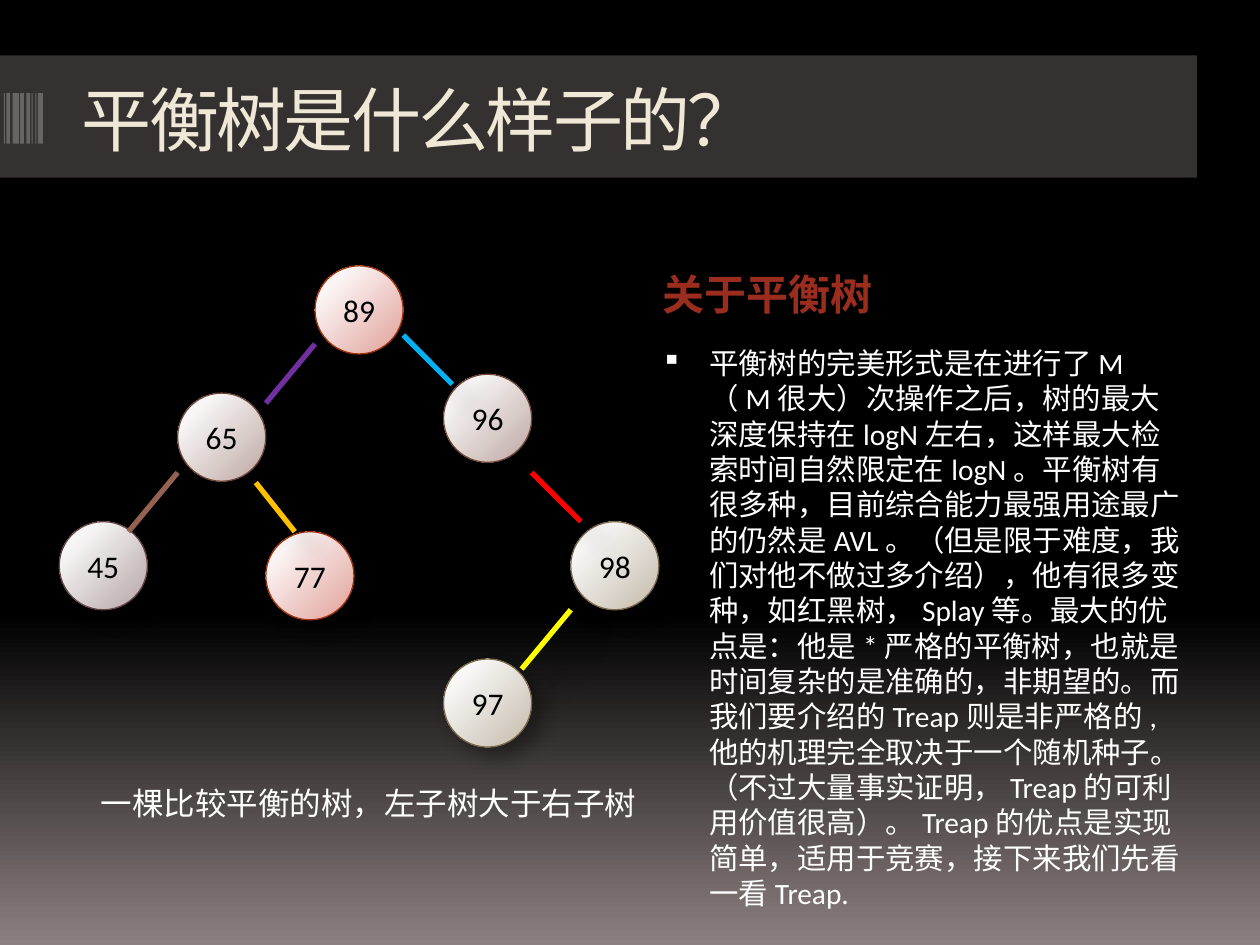
from typing import NamedTuple

from lxml.etree import SubElement
from pptx import Presentation
from pptx.dml.color import RGBColor
from pptx.enum.shapes import MSO_CONNECTOR, MSO_SHAPE
from pptx.enum.text import MSO_ANCHOR, MSO_AUTO_SIZE, PP_ALIGN
from pptx.oxml.ns import qn
from pptx.util import Inches, Pt

COLS, ROWS = 100, 75  # grid of square cells over the slide
CELL = Inches(10) // COLS
SIZE = 7  # node diameter in cells
FONT = "Calibri"
HEX = {
    "black": "000000", "white": "FFFFFF", "floor": "8C8080",
    "band": "6B6262", "bar": "696464", "title": "EFE8D6", "head": "9B2D1F",
    "violet": "7030A0", "brown": "956251", "blue": "00B0F0",
    "red": "FF0000", "yellow": "FFFF00", "gold": "FFC000",
}
# Node tones: light centre, dark edge, outline
TONES = {
    "rose": ("FBF5F5", "E19F98", "A0310A"),
    "clay": ("F8F6F6", "BDA7A2", "6F4638"),
    "mauve": ("F7F6F6", "B5A5A5", "624242"),
    "sand": ("F8F7F6", "C4BAAA", "78684B"),
}


class Node(NamedTuple):
    key: int
    col: float
    row: float
    tone: str


class Edge(NamedTuple):
    start: tuple[float, float]
    end: tuple[float, float]
    hue: str


class Shade(NamedTuple):
    alpha: int
    blur: float
    dist: float


NODES = [
    Node(89, 25, 21.1, "rose"), Node(65, 14.1, 31.2, "clay"),
    Node(96, 35.2, 29.7, "clay"), Node(45, 4.7, 41.4, "mauve"),
    Node(77, 21.1, 42.2, "rose"), Node(98, 45.3, 41.4, "sand"),
    Node(97, 35.2, 52.3, "sand"),
]
EDGES = [
    Edge((25, 27.3), (21.1, 32), "violet"),
    Edge((14.1, 37.5), (10.2, 42.2), "brown"),
    Edge((32, 26.6), (35.9, 30.5), "blue"),
    Edge((42.2, 37.5), (46.1, 41.4), "red"),
    Edge((45.3, 48.4), (41.4, 53.1), "yellow"),
    Edge((20.3, 38.3), (23.4, 42.2), "gold"),
]
BARS = [(0.3, 0.1), (0.5, 0.3), (1, 0.5), (1.6, 0.3), (2.1, 0.3),
        (2.5, 0.1), (2.8, 0.1), (3, 0.4)]  # column, width
BODY = (
    "平衡树的完美形式是在进行了M（M很大）次操作之后，树的最大深度保持在logN左右，"
    "这样最大检索时间自然限定在logN。平衡树有很多种，目前综合能力最强用途最广的仍然是AVL。"
    "（但是限于难度，我们对他不做过多介绍），他有很多变种，如红黑树，Splay等。"
    "最大的优点是：他是*严格的平衡树，也就是时间复杂的是准确的，非期望的。"
    "而我们要介绍的Treap则是非严格的,他的机理完全取决于一个随机种子。"
    "（不过大量事实证明，Treap的可利用价值很高）。Treap的优点是实现简单，适用于竞赛，"
    "接下来我们先看一看Treap."
)


def grid(*cells: float) -> list[int]:
    return [round(cell * CELL) for cell in cells]


def tint(hue: str) -> RGBColor:
    return RGBColor.from_string(hue)


def blend(root, stops: list[tuple[int, str]]):
    """Refill the gradient found under root with these stops."""
    grad = root.find(".//" + qn("a:gradFill"))
    for child in list(grad):
        grad.remove(child)
    chain = SubElement(grad, qn("a:gsLst"))
    for pos, hue in stops:
        stop = SubElement(chain, qn("a:gs"), pos=str(pos * 1000))
        SubElement(stop, qn("a:srgbClr"), val=hue)
    return grad


def cast(shape, shade: Shade) -> None:
    props = shape.element.spPr
    for old in props.findall(qn("a:effectLst")):
        props.remove(old)
    outer = SubElement(
        SubElement(props, qn("a:effectLst")), qn("a:outerShdw"),
        blurRad=str(Pt(shade.blur)), dist=str(Pt(shade.dist)),
        dir=str(45 * 60000), algn="tl", rotWithShape="0")
    hue = SubElement(outer, qn("a:srgbClr"), val=HEX["black"])
    SubElement(hue, qn("a:alpha"), val=str(shade.alpha * 1000))


def style(para, size: float, hue: str, bold: bool = False) -> None:
    font = para.font
    font.name, font.size, font.bold = FONT, Pt(size), bold
    font.color.rgb = tint(HEX[hue])


def block(slide, box: tuple, hue: str):
    shape = slide.shapes.add_shape(MSO_SHAPE.RECTANGLE, *grid(*box))
    shape.shadow.inherit = False
    shape.fill.solid()
    shape.fill.fore_color.rgb = tint(HEX[hue])
    shape.line.fill.background()
    return shape


def label(slide, box: tuple, text: str, wrap: bool = True):
    frame = slide.shapes.add_textbox(*grid(*box)).text_frame
    frame.word_wrap = wrap
    frame.text = text
    return frame, frame.paragraphs[0]


def ball(slide, node: Node) -> None:
    light, dark, rim = TONES[node.tone]
    shape = slide.shapes.add_shape(
        MSO_SHAPE.OVAL, *grid(node.col, node.row, SIZE, SIZE))
    shape.fill.gradient()
    grad = blend(shape.element.spPr, [(20, light), (100, dark)])
    ring = SubElement(grad, qn("a:path"), path="circle")
    SubElement(ring, qn("a:fillToRect"),
               l="-15000", t="-15000", r="115000", b="115000")
    shape.line.color.rgb = tint(rim)
    shape.line.width = Pt(0.75)
    cast(shape, Shade(35, 10.2, 8))
    frame = shape.text_frame
    frame.text = str(node.key)
    frame.vertical_anchor = MSO_ANCHOR.MIDDLE
    para = frame.paragraphs[0]
    para.alignment = PP_ALIGN.CENTER
    style(para, 18, "black")


def link(slide, edge: Edge) -> None:
    line = slide.shapes.add_connector(
        MSO_CONNECTOR.STRAIGHT, *grid(*edge.start, *edge.end))
    line.line.color.rgb = tint(HEX[edge.hue])
    line.line.width = Pt(3)
    cast(line, Shade(26, 15, 18))


def main() -> None:
    deck = Presentation()
    deck.slide_width, deck.slide_height = grid(COLS, ROWS)
    slide = deck.slides.add_slide(deck.slide_layouts[5])

    # Background
    slide.background.fill.gradient()
    grad = blend(slide.element, [(0, HEX["black"]), (65, HEX["black"]),
                                 (100, HEX["floor"])])
    SubElement(grad, qn("a:lin"), ang=str(90 * 60000), scaled="0")

    # Title band with bar code
    band = block(slide, (0, 4.4, 95, 9.7), "band")
    hue = band.element.spPr.find(".//" + qn("a:srgbClr"))
    SubElement(hue, qn("a:alpha"), val="50000")
    for col, width in BARS:
        block(slide, (col, 7.4, width, 4), "bar")

    # Title, raised above the band
    title = slide.shapes.title
    slide.shapes.element.append(title.element)
    title.left, title.top, title.width, title.height = grid(5.5, 5.6, 85, 10)
    frame = title.text_frame
    frame.text = "平衡树是什么样子的？"
    frame.auto_size = MSO_AUTO_SIZE.NONE
    frame.vertical_anchor = MSO_ANCHOR.TOP
    para = frame.paragraphs[0]
    para.alignment = PP_ALIGN.LEFT
    style(para, 40, "title")
    para.runs[0].font._element.set("spc", "-150")

    # Text column
    frame, para = label(slide, (50.8, 19.8, 44.2, 7), "关于平衡树")
    frame.vertical_anchor = MSO_ANCHOR.MIDDLE
    para._p.get_or_add_pPr().set("marL", str(Inches(0.08)))
    style(para, 24, "head", True)

    frame, para = label(slide, (50.8, 26.9, 44.2, 43.3), BODY)
    props = para._p.get_or_add_pPr()
    props.set("marL", str(Inches(0.45)))
    props.set("indent", str(Inches(-0.38)))
    SubElement(props, qn("a:buSzPct"), val="95000")
    SubElement(props, qn("a:buChar"), char="▪")
    style(para, 16.8, "white")

    # Tree and caption
    for node in NODES:
        ball(slide, node)
    frame, para = label(slide, (7, 61.7, 44.9, 4),
                        "一棵比较平衡的树，左子树大于右子树", False)
    frame.auto_size = MSO_AUTO_SIZE.SHAPE_TO_FIT_TEXT
    style(para, 18, "white")
    for edge in EDGES:
        link(slide, edge)

    deck.save("out.pptx")


if __name__ == "__main__":
    main()
